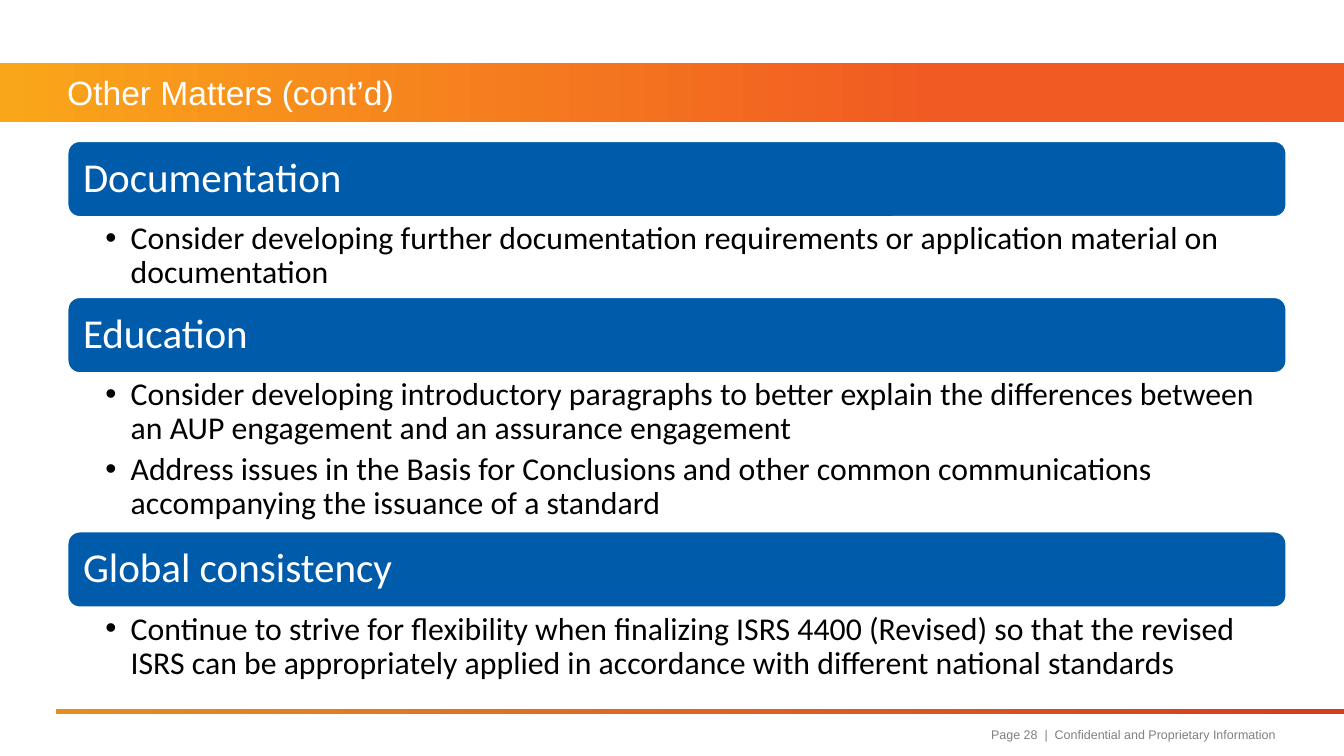
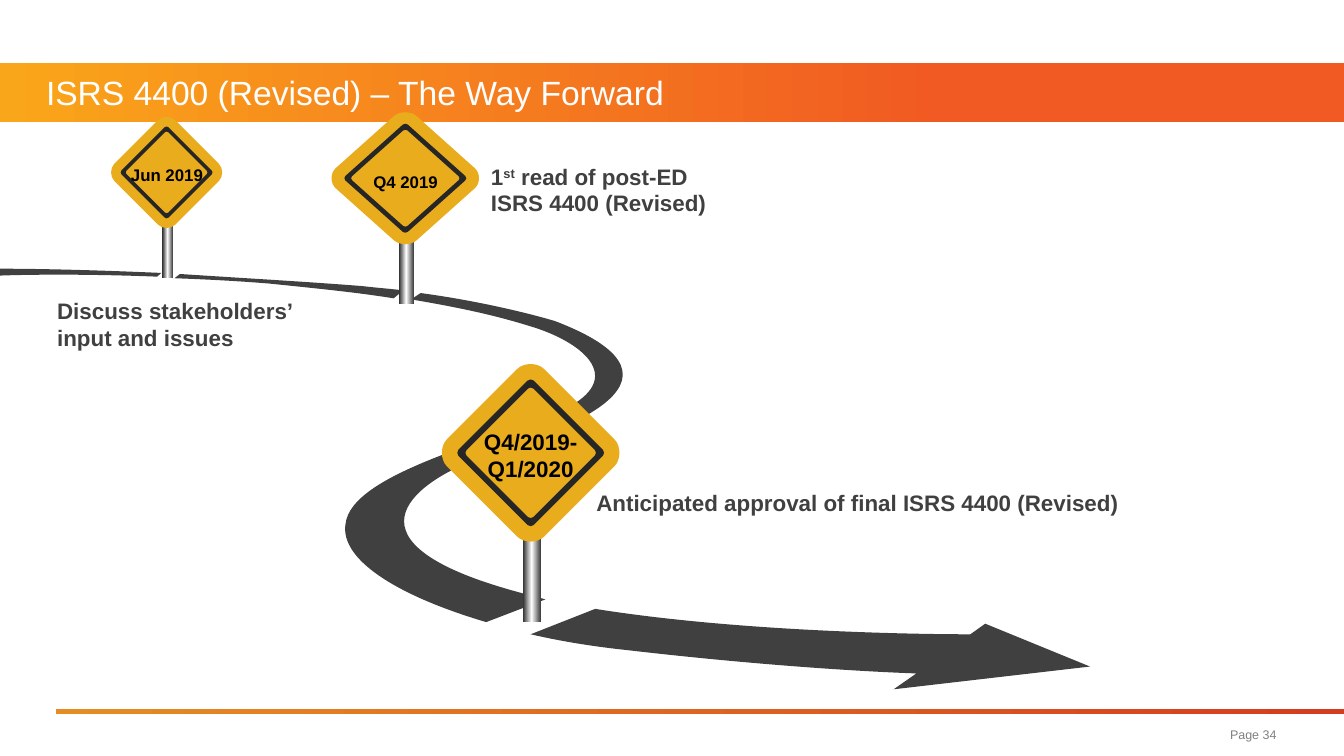
from copy import deepcopy
from dataclasses import dataclass

from lxml import etree
from pptx import Presentation
from pptx import util as u
from pptx.dml.color import RGBColor
from pptx.enum import shapes, text
from pptx.oxml.ns import qn

Cm, Pt = u.Cm, u.Pt
rgb = RGBColor.from_string


@dataclass(frozen=True)
class Theme:
    heading_font: str = "Arial"
    list_font: str = "Calibri"
    white: RGBColor = rgb("FFFFFF")
    black: RGBColor = rgb("000000")
    blue: RGBColor = rgb("005BAA")
    asphalt: RGBColor = rgb("404040")
    sign_yellow: RGBColor = rgb("E9AC1C")
    sign_border: RGBColor = rgb("262626")
    footer_grey: RGBColor = rgb("808080")
    title_band: tuple = ((0, "FAA61A"), (0.7, "F15A22"))
    footer_rule: tuple = ((0, "E58D23"), (0.99, "D53D20"))
    metal: tuple = ((0, "262626"), (0.5, "FFFFFF"), (1, "404040"))
    title_size: float = 18
    topic_size: float = 22
    list_size: float = 17
    callout_size: float = 12
    small_sign_size: float = 9
    footer_size: float = 6.75


theme = Theme()


def add_gradient_bar(target, box, stops):
    """Add a borderless rectangle with a left-to-right gradient."""
    bar = target.add_shape(shapes.MSO_SHAPE.RECTANGLE, *map(Cm, box))
    bar.shadow.inherit = False
    bar.line.fill.background()
    bar.fill.gradient()
    bar.fill.gradient_angle = 0
    stop_list = bar.fill._fill._gradFill.gsLst
    while len(stop_list) < len(stops):
        stop_list.append(deepcopy(stop_list[0]))
    for stop, (position, colour) in zip(bar.fill.gradient_stops, stops):
        stop.position = position
        stop.color.rgb = rgb(colour)
    return bar


def add_outline(target, contours, colour):
    """Fill contours in cm: a start point, then lines (x, y) or Bézier curves (6 values)."""
    builder = None
    for start, *segments in contours:
        x, y = map(Cm, start)
        if builder is None:
            builder = target.build_freeform(x, y)
        else:
            builder.move_to(x, y)
        builder.add_line_segments([(Cm(segment[i]), Cm(segment[i + 1])) for segment in segments
                                   for i in range(0, len(segment), 2)], close=True)
    outline = builder.convert_to_shape()

    # Every three vertices of a curve become one Bézier element
    vertices = iter(list(outline._element.iter(qn("a:lnTo"))))
    for segment in (s for _, *segments in contours for s in segments):
        vertex = next(vertices)
        if len(segment) == 6:
            curve = etree.Element(qn("a:cubicBezTo"))
            vertex.addprevious(curve)
            for part in (vertex, next(vertices), next(vertices)):
                curve.append(part[0])
                part.getparent().remove(part)

    outline.shadow.inherit = False
    outline.fill.solid()
    outline.fill.fore_color.rgb = colour
    outline.line.fill.background()


prs = Presentation()
prs.slide_width, prs.slide_height = Cm(25.4), Cm(14.29)

# Titles and footers
COMPARISON, TITLE_ONLY = 4, 5
right_edge = 24.13
pages = [
    (COMPARISON, "Other Matters (cont’d)", 1.27,
     "Page 28  |  Confidential and Proprietary Information", 7.67),
    (TITLE_ONLY, "ISRS 4400 (Revised) – The Way Forward", 0.87, "Page 34", 4.34),
]
for layout, heading, left, page_note, note_width in pages:
    slide = prs.slides.add_slide(prs.slide_layouts[layout])
    title = slide.shapes.title
    title.left, title.top = Cm(left), Cm(1.18)
    title.width, title.height = Cm(right_edge - left), Cm(1.12)
    title.text_frame.text = heading
    footer = slide.shapes.add_textbox(Cm(right_edge - note_width), Cm(13.56),
                                      Cm(note_width), Cm(0.64))
    footer.text_frame.text = page_note
    for box, align, size, colour in (
            (title, text.PP_ALIGN.LEFT, theme.title_size, theme.white),
            (footer, text.PP_ALIGN.RIGHT, theme.footer_size, theme.footer_grey)):
        frame = box.text_frame
        frame.word_wrap = True
        frame.auto_size = text.MSO_AUTO_SIZE.NONE
        frame.vertical_anchor = text.MSO_ANCHOR.MIDDLE
        frame.margin_left = frame.margin_right = frame.margin_top = frame.margin_bottom = 0
        line = frame.paragraphs[0]
        line.alignment = align
        line.font.name, line.font.size, line.font.color.rgb = theme.heading_font, Pt(size), colour

matters, way_forward = prs.slides

# Bands shared through the slide master
bands = [add_gradient_bar(matters.shapes, box, stops) for box, stops in (
    ((0, 1.19, 25.4, 1.12), theme.title_band),
    ((1.06, 13.4, 24.34, 0.09), theme.footer_rule))]
for band in bands:
    prs.slide_master.shapes._spTree.insert(2, band._element)

# Other matters: topic bars, each with its list
topics = [
    ("Documentation", [
        "Consider developing further documentation requirements or application material on "
        "documentation"]),
    ("Education", [
        "Consider developing introductory paragraphs to better explain the differences between "
        "an AUP engagement and an assurance engagement",
        "Address issues in the Basis for Conclusions and other common communications "
        "accompanying the issuance of a standard"]),
    ("Global consistency", [
        "Continue to strive for flexibility when finalizing ISRS 4400 (Revised) so that the "
        "revised ISRS can be appropriately applied in accordance with different national "
        "standards"]),
]
left, top, width = 1.26, 2.65, 23.07
bar_height, point_height = 1.47, 1.48
*bodies, spare = [p for p in matters.placeholders if p.placeholder_format.idx in (1, 2, 3, 4)]
spare._element.getparent().remove(spare._element)
for (topic, points), body in zip(topics, bodies):
    bar = matters.shapes.add_shape(shapes.MSO_SHAPE.ROUNDED_RECTANGLE,
                                   Cm(left), Cm(top), Cm(width), Cm(bar_height))
    bar.shadow.inherit = False
    bar.fill.solid()
    bar.fill.fore_color.rgb = theme.blue
    bar.line.color.rgb, bar.line.width = theme.white, Pt(2)
    frame = bar.text_frame
    frame.text = topic
    frame.margin_left = Cm(0.24)
    frame.vertical_anchor = text.MSO_ANCHOR.MIDDLE
    name = frame.paragraphs[0]
    name.alignment, name.line_spacing = text.PP_ALIGN.LEFT, 0.9
    name.font.name, name.font.size = theme.list_font, Pt(theme.topic_size)
    name.font.color.rgb = theme.white
    top += bar_height

    list_height = point_height * len(points)
    body.left, body.top, body.width, body.height = map(Cm, (left, top, width, list_height))
    frame = body.text_frame
    frame.text = "\n".join(points)
    frame.auto_size = text.MSO_AUTO_SIZE.NONE
    frame.vertical_anchor = text.MSO_ANCHOR.TOP
    frame.margin_left, frame.margin_right = Cm(0.73), Cm(0.43)
    frame.margin_top = frame.margin_bottom = Cm(0.08)
    for point in frame.paragraphs:
        point.level = 1
        point.line_spacing, point.space_before, point.space_after = 0.9, Pt(0), Pt(3.4)
        props = point._p.get_or_add_pPr()
        props.set("marL", str(Cm(0.48)))
        props.set("indent", str(-Cm(0.48)))
        etree.SubElement(props, qn("a:buChar"), char="•")
        point.font.name, point.font.size = theme.list_font, Pt(theme.list_size)
        point.font.bold, point.font.color.rgb = False, theme.black
    top += list_height

# The way forward: the road
road = [
    [(9.47, 11.1), (6.35, 10.16, 7.9, 9.07, 9.12, 8.64), (10.34, 8.23, 13.54, 7.24, 10.49, 6.07),
     (10.49, 6.07, 9.42, 5.74, 7.95, 5.54), (7.77, 5.66), (8.84, 5.84, 9.45, 5.99, 10.03, 6.17),
     (10.97, 6.45, 11.89, 7.14, 10.64, 7.75), (9.37, 8.33, 6.63, 8.94, 6.53, 9.91),
     (6.43, 10.57, 7.47, 11.25, 9.19, 11.76), (10.31, 11.33),
     (10.01, 11.25, 9.73, 11.18, 9.47, 11.1)],
    [(0, 5.08), (0, 5.21), (0, 5.21, 1.17, 5.16, 2.97, 5.23), (3.05, 5.16),
     (1.91, 5.11, 0.81, 5.08, 0, 5.08)],
    [(6.86, 5.41), (5.87, 5.33, 4.62, 5.26, 3.4, 5.18), (3.3, 5.26),
     (3.86, 5.28, 4.45, 5.31, 5.08, 5.36), (6.07, 5.46, 6.83, 5.54, 7.44, 5.64), (7.62, 5.49),
     (7.39, 5.46, 7.11, 5.44, 6.86, 5.41)],
    [(20.6, 12.6), (18.62, 11.79), (18.34, 11.99), (18.34, 11.99, 14.38, 12.01, 11.25, 11.51),
     (10.03, 11.99), (10.59, 12.12, 11.2, 12.22, 11.86, 12.29),
     (15.14, 12.67, 17.32, 12.73, 17.32, 12.73), (16.89, 13.03)],
]
road_group = way_forward.shapes.add_group_shape().shapes
for stretch in road:
    add_outline(road_group, [stretch], theme.asphalt)

# Signs: centre, radii, post, date, date box, date size, callout, callout box
signs = [
    ((3.15, 3.26), (1.07, 1.07), (3.07, 4.24, 0.2, 1.02),
     "Jun 2019", (2.23, 2.79, 1.85, 1.02), theme.small_sign_size,
     "Discuss stakeholders’ input and issues", (0.83, 5.49, 5.03, 1.27)),
    ((7.66, 3.37), (1.42, 1.27), (7.54, 4.55, 0.28, 1.19),
     "Q4 2019", (6.42, 3.05, 2.49, 0.76), theme.small_sign_size,
     "1^st^ read of post-ED\nISRS 4400 (Revised)", (9.03, 2.95, 9.35, 1.27)),
    ((10.03, 8.56), (1.71, 1.71), (9.88, 10.13, 0.34, 1.63),
     "Q4/2019-\nQ1/2020", (8.53, 7.96, 3, 1.27), theme.callout_size,
     "Anticipated approval of final ISRS 4400 (Revised)", (11.02, 9.12, 12.09, 0.76)),
]
for (cx, cy), (rx, ry), post, date, date_box, date_size, callout, callout_box in signs:
    sign = way_forward.shapes.add_group_shape().shapes
    add_gradient_bar(sign, post, theme.metal)

    diamonds = []
    for scale, rounding in ((1, 0.15), (0.815, 0.04), (0.725, 0.04)):
        corner = [(1 - rounding / 2, -rounding), (1, -rounding / 2),
                  (1, rounding / 2), (1 - rounding / 2, rounding)]
        contour = []
        for quarter in range(4):
            enter, *curve = [(cx + rx * scale * x, cy + ry * scale * y) for x, y in corner]
            contour += [enter, sum(curve, ())]
            corner = [(-y, x) for x, y in corner]
        diamonds.append(contour)
    plate, border_outside, border_inside = diamonds
    add_outline(sign, [plate], theme.sign_yellow)
    add_outline(sign, [border_outside, border_inside], theme.sign_border)

    for target, wording, box, size, colour, align in (
            (sign, date, date_box, date_size, theme.black, text.PP_ALIGN.CENTER),
            (way_forward.shapes, callout, callout_box, theme.callout_size, theme.asphalt,
             text.PP_ALIGN.LEFT)):
        frame = target.add_textbox(*map(Cm, box)).text_frame
        frame.word_wrap = True
        if target is sign:
            frame.vertical_anchor = text.MSO_ANCHOR.MIDDLE
            frame.margin_left = frame.margin_right = 0
        frame.text = wording
        for line in frame.paragraphs:
            pieces = line.text.split("^")
            line.clear()
            for number, piece in enumerate(pieces):
                run = line.add_run()
                run.text = piece
                if number % 2:
                    run._r.get_or_add_rPr().set("baseline", "30000")
            line.alignment = align
            line.font.name, line.font.size = theme.heading_font, Pt(size)
            line.font.bold, line.font.color.rgb = True, colour

prs.save("out.pptx")
